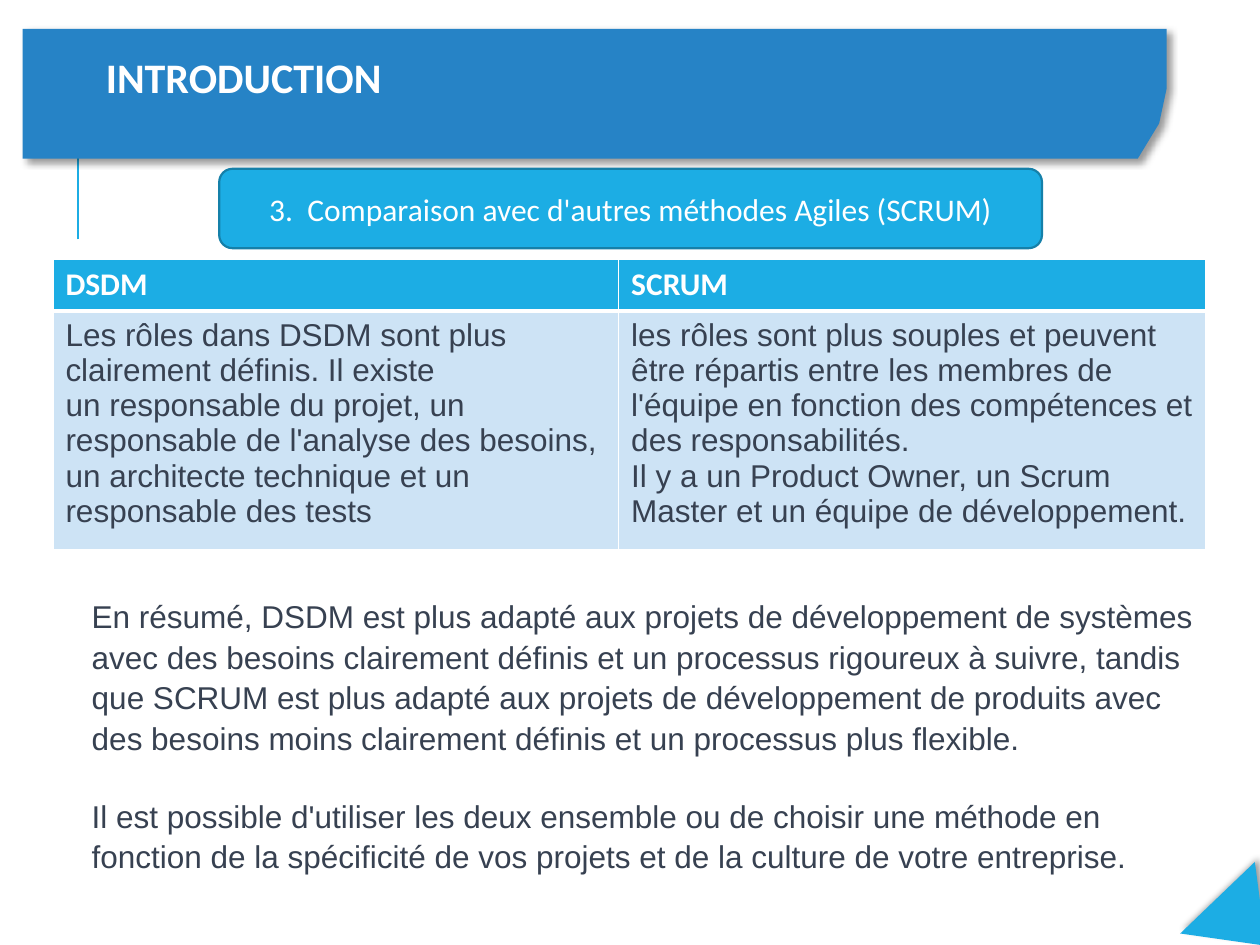
"""Build the slide comparing DSDM with SCRUM."""
import pptx
import pptx.dml.color
import pptx.enum.shapes
import pptx.enum.text
import pptx.oxml
import pptx.oxml.ns
import pptx.util

Inches, Pt = pptx.util.Inches, pptx.util.Pt
RGBColor = pptx.dml.color.RGBColor
MSO_SHAPE = pptx.enum.shapes.MSO_SHAPE
PP_ALIGN = pptx.enum.text.PP_ALIGN
MSO_ANCHOR = pptx.enum.text.MSO_ANCHOR
qn = pptx.oxml.ns.qn

WHITE = RGBColor(0xFF, 0xFF, 0xFF)
CYAN = RGBColor(0x1C, 0xAD, 0xE4)
DARK_CYAN = RGBColor(0x15, 0x80, 0xA9)
BLUE = RGBColor(0x26, 0x83, 0xC6)
PALE_BLUE = RGBColor(0xCD, 0xE3, 0xF5)
SLATE = RGBColor(0x37, 0x41, 0x51)

TITLE = "INTRODUCTION"
SUBTITLE = "3.  Comparaison avec d'autres méthodes Agiles (SCRUM)"
COMPARISON = [
    ("DSDM", "SCRUM"),
    (
        "Les rôles dans DSDM sont plus clairement définis. Il existe\n"
        "un responsable du projet, un responsable de l'analyse des besoins, "
        "un architecte technique et un responsable des tests",
        "les rôles sont plus souples et peuvent être répartis entre les membres de "
        "l'équipe en fonction des compétences et des responsabilités.\n"
        "Il y a un Product Owner, un Scrum Master et un équipe de développement.",
    ),
]
SUMMARY = [
    "En résumé, DSDM est plus adapté aux projets de développement de systèmes avec des "
    "besoins clairement définis et un processus rigoureux à suivre, tandis que SCRUM est "
    "plus adapté aux projets de développement de produits avec des besoins moins "
    "clairement définis et un processus plus flexible.",
    "Il est possible d'utiliser les deux ensemble ou de choisir une méthode en fonction de "
    "la spécificité de vos projets et de la culture de votre entreprise.",
]
BANNER_POINTS = [(0.18, 0.23), (9.26, 0.23), (9.26, 0.7), (9.2, 0.98), (9.03, 1.26), (0.18, 1.26)]
COLUMN_WIDTHS = (4.49, 4.66)
ROW_HEIGHTS = (0.41, 1.89)


def box(left, top, width, height):
    return Inches(left), Inches(top), Inches(width), Inches(height)


def style_text(frame, font, color, size=18, bold=False, align=PP_ALIGN.LEFT):
    for paragraph in frame.paragraphs:
        paragraph.alignment = align
        for run in paragraph.runs:
            run.font.name = font
            run.font.size = Pt(size)
            run.font.bold = bold
            run.font.color.rgb = color


def fill_shape(shape, color):
    shape.shadow.inherit = False
    shape.fill.solid()
    shape.fill.fore_color.rgb = color
    shape.line.fill.background()


def cast_shadow(shape, angle):
    effects = shape._element.spPr.find(qn("a:effectLst"))
    effects.append(pptx.oxml.parse_xml(
        f'<a:outerShdw xmlns:a="{pptx.oxml.ns.nsdecls("a").split(chr(34))[1]}" '
        f'blurRad="{Pt(4)}" dist="{Pt(3)}" dir="{angle * 60000}" algn="ctr" rotWithShape="0">'
        '<a:srgbClr val="000000"><a:alpha val="40000"/></a:srgbClr></a:outerShdw>'))


def border_cell(cell, bottom):
    properties = cell._tc.get_or_add_tcPr()
    widths = {"lnL": 1, "lnR": 1, "lnT": 1, "lnB": bottom}
    for index, (side, width) in enumerate(widths.items()):
        properties.insert(index, pptx.oxml.parse_xml(
            f'<a:{side} {pptx.oxml.ns.nsdecls("a")} w="{Pt(width)}">'
            f'<a:solidFill><a:srgbClr val="{WHITE}"/></a:solidFill></a:{side}>'))


def add_decor(slide):
    stem = slide.shapes.add_connector(
        pptx.enum.shapes.MSO_CONNECTOR.STRAIGHT,
        Inches(0.62), Inches(1.9), Inches(0.62), Inches(0.9))
    stem.line.color.rgb = CYAN
    stem.line.width = Pt(1.5)
    stem._element.spPr.append(pptx.oxml.parse_xml(
        f'<a:effectLst {pptx.oxml.ns.nsdecls("a")}/>'))

    corners = [(Inches(x), Inches(y)) for x, y in BANNER_POINTS]
    outline = slide.shapes.build_freeform(*corners[0])
    outline.add_line_segments(corners[1:], close=True)
    banner = outline.convert_to_shape()
    fill_shape(banner, BLUE)
    cast_shadow(banner, 45)

    corner = slide.shapes.add_shape(MSO_SHAPE.ISOSCELES_TRIANGLE, *box(9.44, 7.05, 0.82, 0.54))
    corner.adjustments[0] = 0.484
    corner.rotation = 136.2
    fill_shape(corner, CYAN)
    cast_shadow(corner, 315)
    return corner


def add_headings(slide, backdrop):
    title = slide.shapes.title
    backdrop._element.addnext(title._element)
    title.left, title.top, title.width, title.height = box(0.74, 0.36, 3.92, 0.5)
    title.text_frame.text = TITLE
    title.text_frame.vertical_anchor = MSO_ANCHOR.TOP
    style_text(title.text_frame, "Calibri", WHITE, size=24, bold=True)

    subtitle = slide.shapes.add_shape(MSO_SHAPE.ROUNDED_RECTANGLE, *box(1.74, 1.34, 6.53, 0.63))
    fill_shape(subtitle, CYAN)
    subtitle.line.color.rgb = DARK_CYAN
    subtitle.line.width = Pt(1.25)
    subtitle.text_frame.text = SUBTITLE
    subtitle.text_frame.vertical_anchor = MSO_ANCHOR.MIDDLE
    style_text(subtitle.text_frame, "Calibri", WHITE, align=PP_ALIGN.CENTER)


def add_comparison(slide):
    table = slide.shapes.add_table(
        len(ROW_HEIGHTS), len(COLUMN_WIDTHS),
        *box(0.42, 2.06, sum(COLUMN_WIDTHS), sum(ROW_HEIGHTS))).table
    for column, width in zip(table.columns, COLUMN_WIDTHS):
        column.width = Inches(width)
    for row, height, texts in zip(table.rows, ROW_HEIGHTS, COMPARISON):
        row.height = Inches(height)
        header = texts is COMPARISON[0]
        for cell, text in zip(row.cells, texts):
            cell.text_frame.text = text
            cell.fill.solid()
            cell.fill.fore_color.rgb = CYAN if header else PALE_BLUE
            border_cell(cell, bottom=3 if header else 1)
            style_text(cell.text_frame, "Calibri" if header else "Arial",
                       WHITE if header else SLATE, bold=header)


def add_summary(slide):
    summary = slide.shapes.add_textbox(*box(0.63, 4.67, 8.94, 2.22)).text_frame
    summary.word_wrap = True
    summary.text = "\n".join(SUMMARY)
    style_text(summary, "Arial", SLATE)
    for paragraph in summary.paragraphs:
        paragraph.line_spacing = 1.07
    summary.paragraphs[1].space_before = Pt(21.6)


def main():
    deck = pptx.Presentation()
    deck.slide_width, deck.slide_height = Inches(10), Inches(7.5)
    slide = deck.slides.add_slide(deck.slide_layouts.get_by_name("Title Only"))
    add_headings(slide, add_decor(slide))
    add_comparison(slide)
    add_summary(slide)
    deck.save("out.pptx")


if __name__ == "__main__":
    main()
